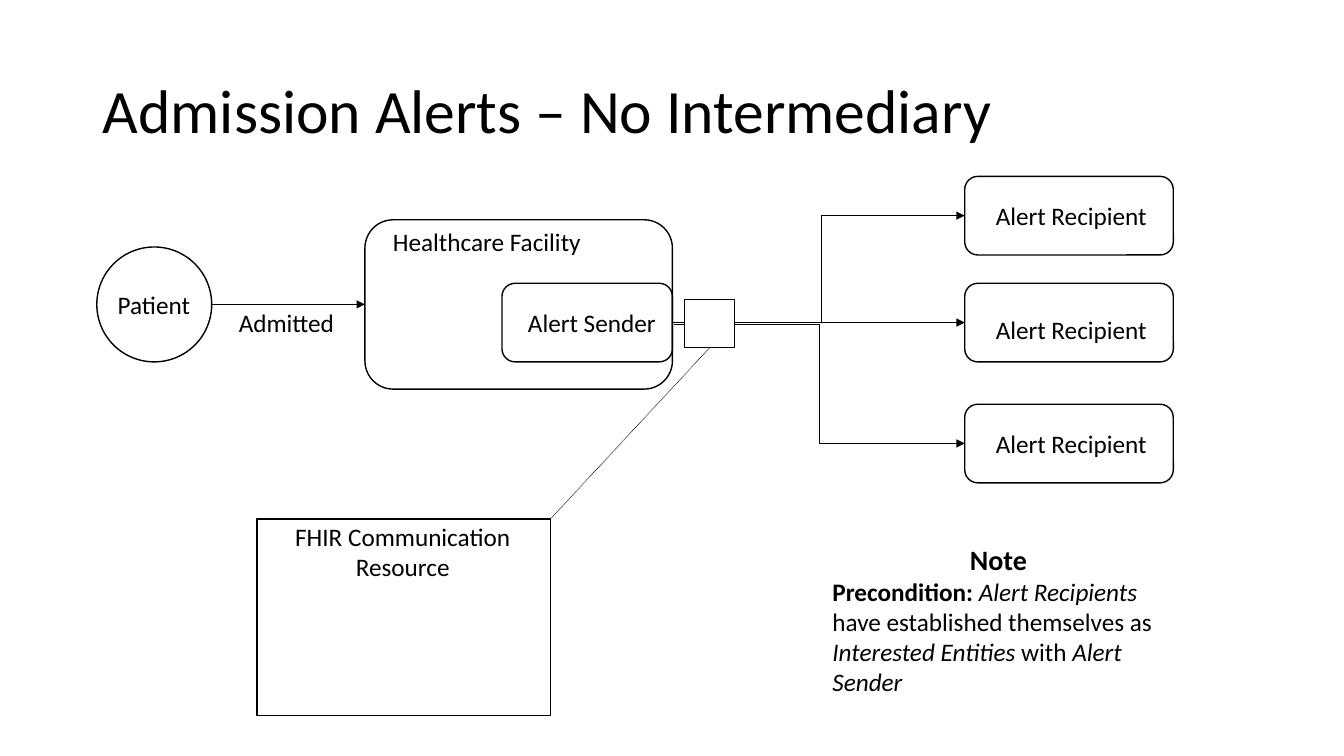
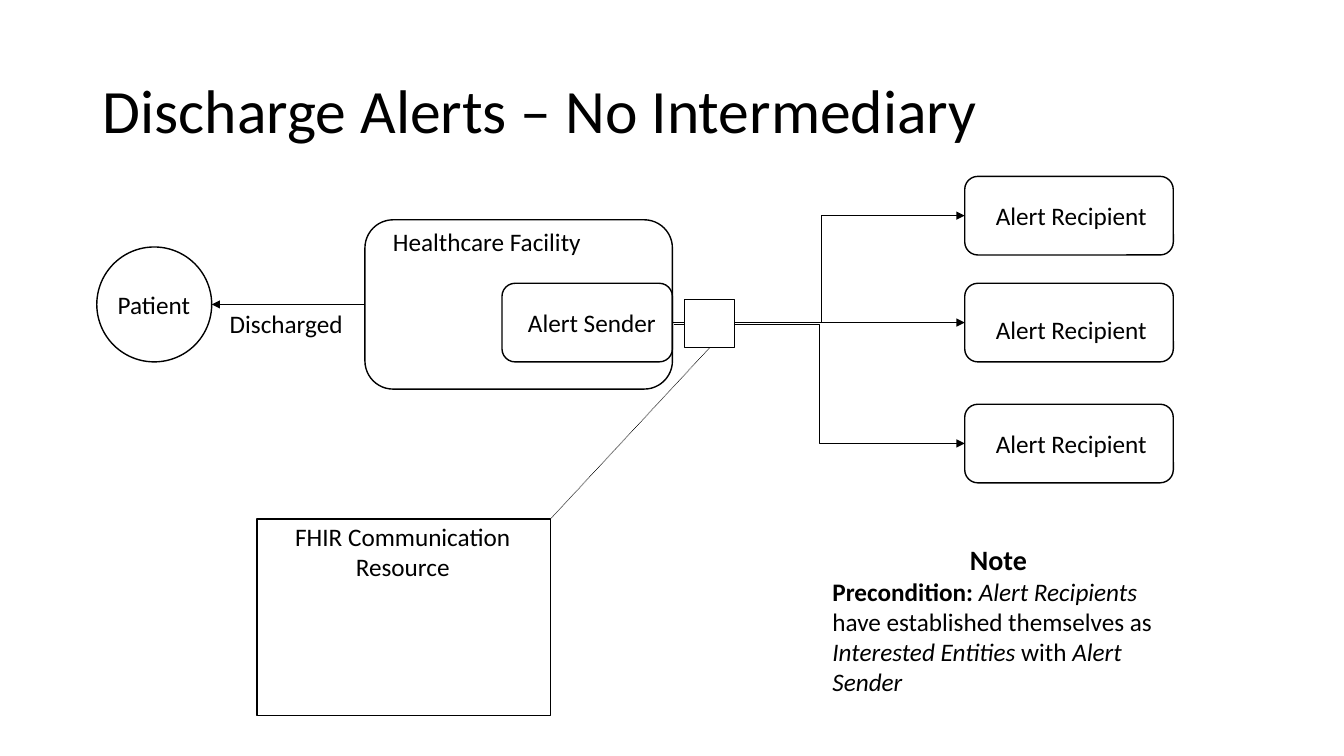
from dataclasses import dataclass
from typing import Optional

from lxml.etree import SubElement
from pptx import Presentation
from pptx.dml.color import RGBColor
from pptx.enum.dml import MSO_LINE
from pptx.enum.shapes import MSO_CONNECTOR, MSO_SHAPE
from pptx.enum.text import MSO_ANCHOR, MSO_AUTO_SIZE, PP_ALIGN
from pptx.oxml.ns import qn
from pptx.util import Inches, Pt

WIDTH, HEIGHT = Inches(13.33), Inches(7.5)
FONT, INK, PAPER = "Calibri", "000000", "FFFFFF"


@dataclass(frozen=True)
class Box:
    """An area in percent of the slide's width and height."""
    x: float
    y: float
    w: float
    h: float = 5.33

    @property
    def right(self) -> float:
        return self.x + self.w

    @property
    def mid(self) -> float:
        return self.y + self.h / 2

    def place(self) -> tuple:
        return across(self.x), down(self.y), across(self.w), down(self.h)


@dataclass(frozen=True)
class Node:
    kind: MSO_SHAPE
    box: Box
    fill: Optional[str] = None


@dataclass(frozen=True)
class Label:
    text: str
    box: Box


@dataclass(frozen=True)
class Event:
    title: str
    label: Label
    leaves: bool


@dataclass(frozen=True)
class Part:
    text: str
    bold: bool = False
    italic: bool = False


ROUND = MSO_SHAPE.ROUNDED_RECTANGLE
TITLE = Box(6.9, 5.33, 86.25, 19.33)
PATIENT = Box(7.2, 32.67, 8.55, 15.2)
SENDER = Box(37.35, 37.47, 12.68, 10.4)
CLINIC = Box(27.15, 29.07, 22.88, 22.4)
PACKET = Box(50.95, 39.6, 3.7, 6.4)
RECORD = Box(19.13, 68.67, 21.82, 26)
HEADING = Box(19.13, 68.27, 21.68, 9.47)
NOTE = Box(61.2, 71.07, 26.18, 22)
TARGETS = [Box(71.78, y, 15.52, 10.4) for y in (23.33, 37.47, 53.47)]

NODES = [
    Node(MSO_SHAPE.OVAL, PATIENT),
    Node(ROUND, SENDER),
    Node(ROUND, CLINIC),
    *(Node(ROUND, box) for box in TARGETS),
]
CARDS = [Node(MSO_SHAPE.RECTANGLE, box, PAPER) for box in (PACKET, RECORD)]
LABELS = [
    Label("Patient", Box(8.02, 37.6, 6.98)),
    Label("Alert Sender", Box(38.55, 40, 11.1)),
    Label("Healthcare Facility", Box(28.5, 29.33, 15.6)),
    *(Label("Alert Recipient", Box(73.35, y, 12.75))
      for y in (25.87, 40.93, 56)),
]
# Where each alert line starts, in the order of its target
STARTS = [(50.48, 42.67), (50.03, 42.67), (50.18, 42.93)]
PARTS = [
    Part("Precondition: ", bold=True),
    Part("Alert Recipients ", italic=True),
    Part("have established themselves as "),
    Part("Interested Entities ", italic=True),
    Part("with"),
    Part(" Alert Sender", italic=True),
]
EVENTS = [
    Event("Admission Alerts – No Intermediary",
          Label("Admitted", Box(17.03, 40, 8.7)), False),
    Event("Discharge Alerts – No Intermediary",
          Label("Discharged", Box(16.35, 40.13, 10.05)), True),
]


def across(share: float) -> int:
    return round(WIDTH * share / 100)


def down(share: float) -> int:
    return round(HEIGHT * share / 100)


def color(code: str) -> RGBColor:
    return RGBColor.from_string(code)


def style(run, size: float, bold: bool = False, italic: bool = False) -> None:
    font = run.font
    font.name, font.size = FONT, Pt(size)
    font.bold, font.italic = bold, italic
    font.color.rgb = color(INK)


def head(slide, text: str) -> None:
    """Fill and format the slide's title."""
    title = slide.shapes.title
    title.left, title.top, title.width, title.height = TITLE.place()
    frame = title.text_frame
    frame.text = text
    frame.auto_size = MSO_AUTO_SIZE.NONE
    frame.vertical_anchor = MSO_ANCHOR.MIDDLE
    line = frame.paragraphs[0]
    line.alignment, line.line_spacing = PP_ALIGN.LEFT, 0.9
    style(line.runs[0], 44)


def draw(slide, node: Node) -> None:
    shape = slide.shapes.add_shape(node.kind, *node.box.place())
    shape.shadow.inherit = False
    if node.fill:
        shape.fill.solid()
        shape.fill.fore_color.rgb = color(node.fill)
    else:
        shape.fill.background()
    shape.line.color.rgb = color(INK)
    shape.line.width = Pt(1)


def write(slide, label: Label, size: float = 18, wrap: bool = False,
          bold: bool = False):
    """Add a text box; wrapped text is centred."""
    frame = slide.shapes.add_textbox(*label.box.place()).text_frame
    frame.word_wrap = wrap
    frame.text = label.text
    line = frame.paragraphs[0]
    line.alignment = PP_ALIGN.CENTER if wrap else PP_ALIGN.LEFT
    style(line.runs[0], size, bold)
    return frame


def link(slide, start: tuple, end: tuple, bent: bool = False,
         dots: bool = False) -> None:
    """Join two points by an arrow, or by a plain dotted line."""
    kind = MSO_CONNECTOR.ELBOW if bent else MSO_CONNECTOR.STRAIGHT
    wire = slide.shapes.add_connector(
        kind, across(start[0]), down(start[1]), across(end[0]), down(end[1]))
    wire.line.color.rgb = color(INK)
    wire.line.width = Pt(0.5)
    if dots:
        wire.line.dash_style = MSO_LINE.ROUND_DOT
    else:
        SubElement(wire.line._get_or_add_ln(), qn("a:tailEnd"), type="triangle")
    SubElement(wire._element.spPr, qn("a:effectLst"))


def remark(slide) -> None:
    frame = write(slide, Label("Note", NOTE), 20, wrap=True, bold=True)
    line = frame.add_paragraph()
    for part in PARTS:
        run = line.add_run()
        run.text = part.text
        style(run, 18, part.bold, part.italic)


def build(deck, event: Event) -> None:
    slide = deck.slides.add_slide(deck.slide_layouts[5])
    head(slide, event.title)
    for node in NODES:
        draw(slide, node)
    for label in (*LABELS, event.label):
        write(slide, label)
    ends = [(PATIENT.right, PATIENT.mid), (CLINIC.x, PATIENT.mid)]
    link(slide, *(reversed(ends) if event.leaves else ends))
    for start, box in zip(STARTS, TARGETS):
        link(slide, start, (box.x, box.mid), bent=True)
    for card in CARDS:
        draw(slide, card)
    link(slide, (PACKET.x + PACKET.w / 2, PACKET.y + PACKET.h),
         (RECORD.right, RECORD.y), dots=True)
    write(slide, Label("FHIR Communication Resource", HEADING), wrap=True)
    remark(slide)


def main() -> None:
    deck = Presentation()
    deck.slide_width, deck.slide_height = WIDTH, HEIGHT
    for event in EVENTS:
        build(deck, event)
    deck.save("out.pptx")


if __name__ == "__main__":
    main()
